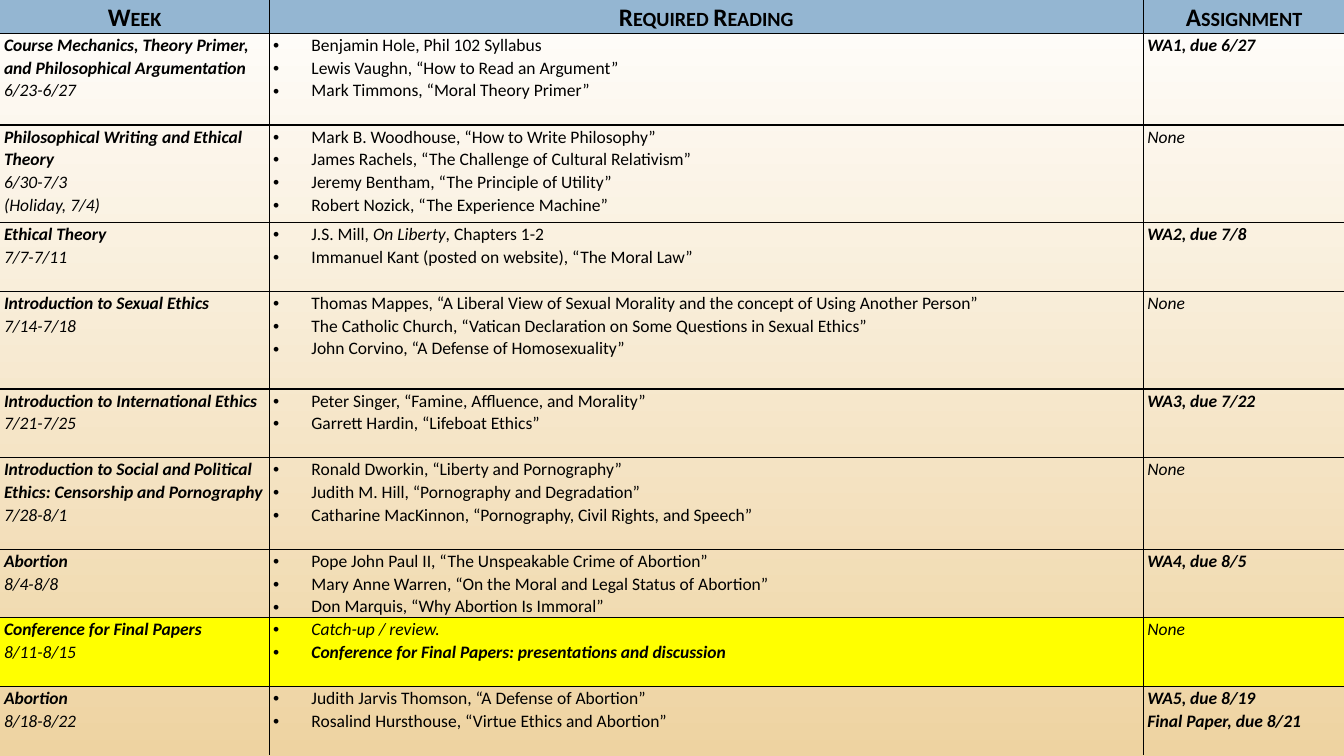
from dataclasses import dataclass

from lxml.etree import SubElement
from pptx import Presentation
from pptx.dml.color import RGBColor
from pptx.enum.text import PP_ALIGN as Align
from pptx.oxml import parse_xml
from pptx.oxml.ns import nsdecls, qn
from pptx.table import _Cell as Cell
from pptx.util import Inches, Pt

BLACK, BLUE, YELLOW = "000000", "94B6D2", "FFFF00"
BARE_STYLE = "{2D5ABB26-0587-4C30-8999-92F81FD0307C}"
COLS = (2.67, 8.67, 2)
HEADS = ("Week", "Required Reading", "Assignment")
HEAD_TALL = 0.33


@dataclass
class Run:
    text: str
    italic: bool = False


@dataclass
class Line:
    """One paragraph; text may be split into runs that differ in slant."""
    text: str | tuple[Run, ...]
    bold: bool = False
    italic: bool = False
    bullet: bool = False
    head: bool = False


@dataclass
class Week:
    tall: float
    title: str
    dates: tuple[str, ...]
    reading: tuple[str | Line, ...]
    due: tuple[str, ...] = ()
    fill: str | None = None


WEEKS = (
    Week(0.91, "Course Mechanics, Theory Primer, and Philosophical Argumentation",
         ("6/23-6/27",),
         ("Benjamin Hole, Phil 102 Syllabus",
          "Lewis Vaughn, “How to Read an Argument”",
          "Mark Timmons, “Moral Theory Primer”"),
         ("WA1, due 6/27",)),
    Week(0.97, "Philosophical Writing and Ethical Theory",
         ("6/30-7/3", "(Holiday, 7/4)"),
         ("Mark B. Woodhouse, “How to Write Philosophy”",
          "James Rachels, “The Challenge of Cultural Relativism”",
          "Jeremy Bentham, “The Principle of Utility”",
          "Robert Nozick, “The Experience Machine”")),
    Week(0.68, "Ethical Theory", ("7/7-7/11",),
         (Line((Run("J.S. Mill, "), Run("On Liberty", True), Run(", Chapters 1-2")),
               bullet=True),
          "Immanuel Kant (posted on website), “The Moral Law”"),
         ("WA2, due 7/8",)),
    Week(0.97, "Introduction to Sexual Ethics", ("7/14-7/18",),
         ("Thomas Mappes, “A Liberal View of Sexual Morality and the concept "
          "of Using Another Person”",
          "The Catholic Church, “Vatican Declaration on Some Questions in Sexual Ethics”",
          "John Corvino, “A Defense of Homosexuality”")),
    Week(0.68, "Introduction to International Ethics", ("7/21-7/25",),
         ("Peter Singer, “Famine, Affluence, and Morality”",
          "Garrett Hardin, “Lifeboat Ethics”"),
         ("WA3, due 7/22",)),
    Week(0.91, "Introduction to Social and Political Ethics: Censorship and Pornography",
         ("7/28-8/1",),
         ("Ronald Dworkin, “Liberty and Pornography”",
          "Judith M. Hill, “Pornography and Degradation”",
          "Catharine MacKinnon, “Pornography, Civil Rights, and Speech”")),
    Week(0.68, "Abortion", ("8/4-8/8",),
         ("Pope John Paul II, “The Unspeakable Crime of Abortion”",
          "Mary Anne Warren, “On the Moral and Legal Status of Abortion”",
          "Don Marquis, “Why Abortion Is Immoral”"),
         ("WA4, due 8/5",)),
    Week(0.68, "Conference for Final Papers", ("8/11-8/15",),
         (Line("Catch-up / review.", italic=True, bullet=True),
          Line("Conference for Final Papers: presentations and discussion",
               bold=True, italic=True, bullet=True)),
         fill=YELLOW),
    Week(0.68, "Abortion", ("8/18-8/22",),
         ("Judith Jarvis Thomson, “A Defense of Abortion”",
          "Rosalind Hursthouse, “Virtue Ethics and Abortion”"),
         ("WA5, due 8/19", "Final Paper, due 8/21")),
)


def color(code: str) -> RGBColor:
    return RGBColor.from_string(code)


def week_cells(week: Week) -> tuple[list[Line], ...]:
    """Lines of the three cells in a week's row."""
    title = [Line(week.title, bold=True, italic=True)]
    dates = [Line(date, italic=True) for date in week.dates]
    reading = [item if isinstance(item, Line) else Line(item, bullet=True)
               for item in week.reading]
    due = [Line(task, bold=True, italic=True) for task in week.due]
    return title + dates, reading, due or [Line("None", italic=True)]


def add_borders(cell: Cell, sides: str) -> None:
    """Rule the given sides (letters of LRTB, in that order)."""
    props = cell._tc.get_or_add_tcPr()
    for spot, side in enumerate(sides):
        props.insert(spot, parse_xml(
            f'<a:ln{side} {nsdecls("a")} w="12700"><a:solidFill>'
            f'<a:srgbClr val="{BLACK}"/></a:solidFill></a:ln{side}>'))


def write(cell: Cell, lines: list[Line]) -> None:
    cell.margin_left = cell.margin_right = Inches(0.04)
    cell.margin_top = cell.margin_bottom = 0
    frame = cell.text_frame
    for index, line in enumerate(lines):
        para = frame.add_paragraph() if index else frame.paragraphs[0]
        para.line_spacing = 1.07
        props = para._p.get_or_add_pPr()
        if line.bullet:
            props.set("marL", str(Inches(0.38)))
            props.set("indent", str(-Inches(0.38)))
            SubElement(props, qn("a:buFont")).set("typeface", "Arial")
            SubElement(props, qn("a:buChar")).set("char", "•")
        font = para.font
        font.name = "Calibri"
        font.size = Pt(18 if line.head else 12.5)
        font.color.rgb = color(BLACK)
        font.bold = line.bold
        if line.head:
            para.alignment = Align.CENTER
            props.find(qn("a:defRPr")).set("cap", "small")
        if isinstance(line.text, str):
            font.italic = line.italic
            para.add_run().text = line.text
        else:
            for part in line.text:
                run = para.add_run()
                run.text = part.text
                run.font.italic = part.italic


def main() -> None:
    deck = Presentation()
    deck.slide_width, deck.slide_height = Inches(13.33), Inches(7.5)
    slide = deck.slides.add_slide(deck.slide_layouts[6])

    back = slide.background.fill
    back.gradient()
    back.gradient_angle = 270
    for stop, code in zip(back.gradient_stops, ("FFFEFC", "EED3A1")):
        stop.color.rgb = color(code)

    heads = tuple([Line(head, bold=True, head=True)] for head in HEADS)
    rows = [(HEAD_TALL, BLUE, heads)]
    rows += [(week.tall, week.fill, week_cells(week)) for week in WEEKS]

    table = slide.shapes.add_table(len(rows), len(COLS), 0, 0,
                                   deck.slide_width, deck.slide_height).table
    table.first_row = table.horz_banding = False
    table._tbl.tblPr.find(qn("a:tableStyleId")).text = BARE_STYLE
    for col, wide in zip(table.columns, COLS):
        col.width = Inches(wide)

    for y, (tall, fill, cells) in enumerate(rows):
        table.rows[y].height = Inches(tall)
        for x, lines in enumerate(cells):
            cell = table.cell(y, x)
            write(cell, lines)
            if fill:
                cell.fill.solid()
                cell.fill.fore_color.rgb = color(fill)
            else:
                cell.fill.background()
            inner = {"L": x > 0, "R": x < len(COLS) - 1,
                     "T": y > 0, "B": y < len(rows) - 1}
            add_borders(cell, "".join(side for side in inner if inner[side]))

    deck.save("out.pptx")


if __name__ == "__main__":
    main()
